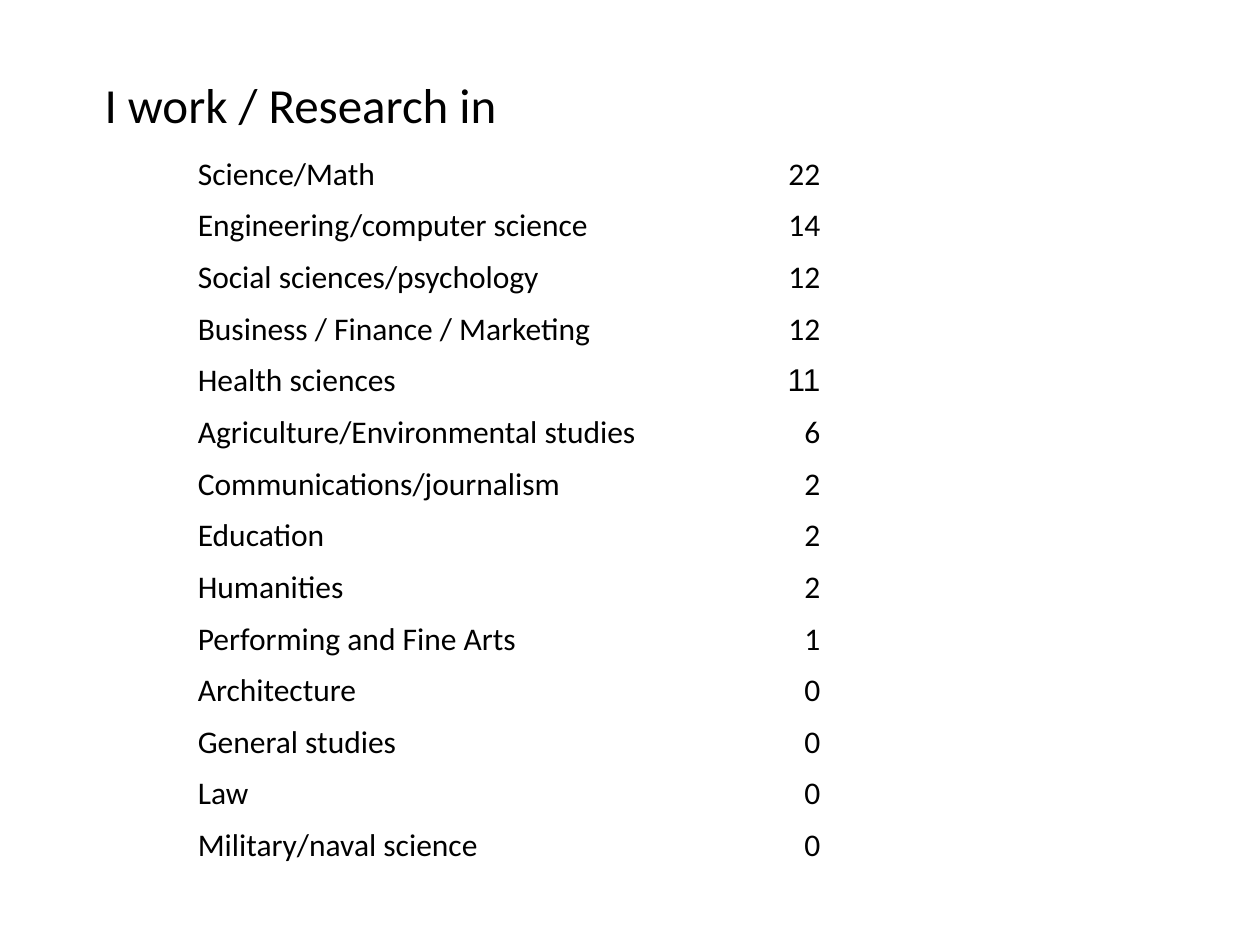
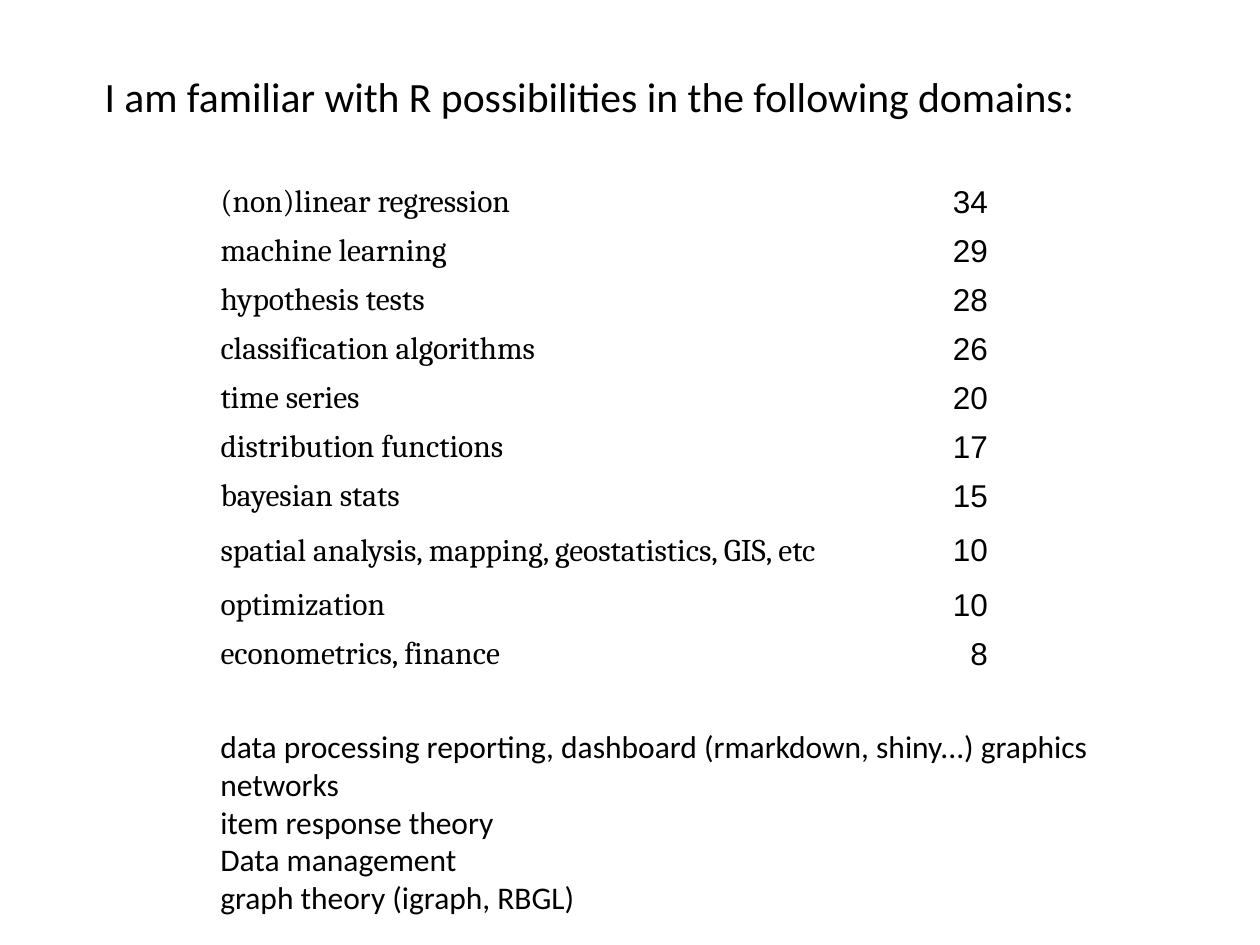
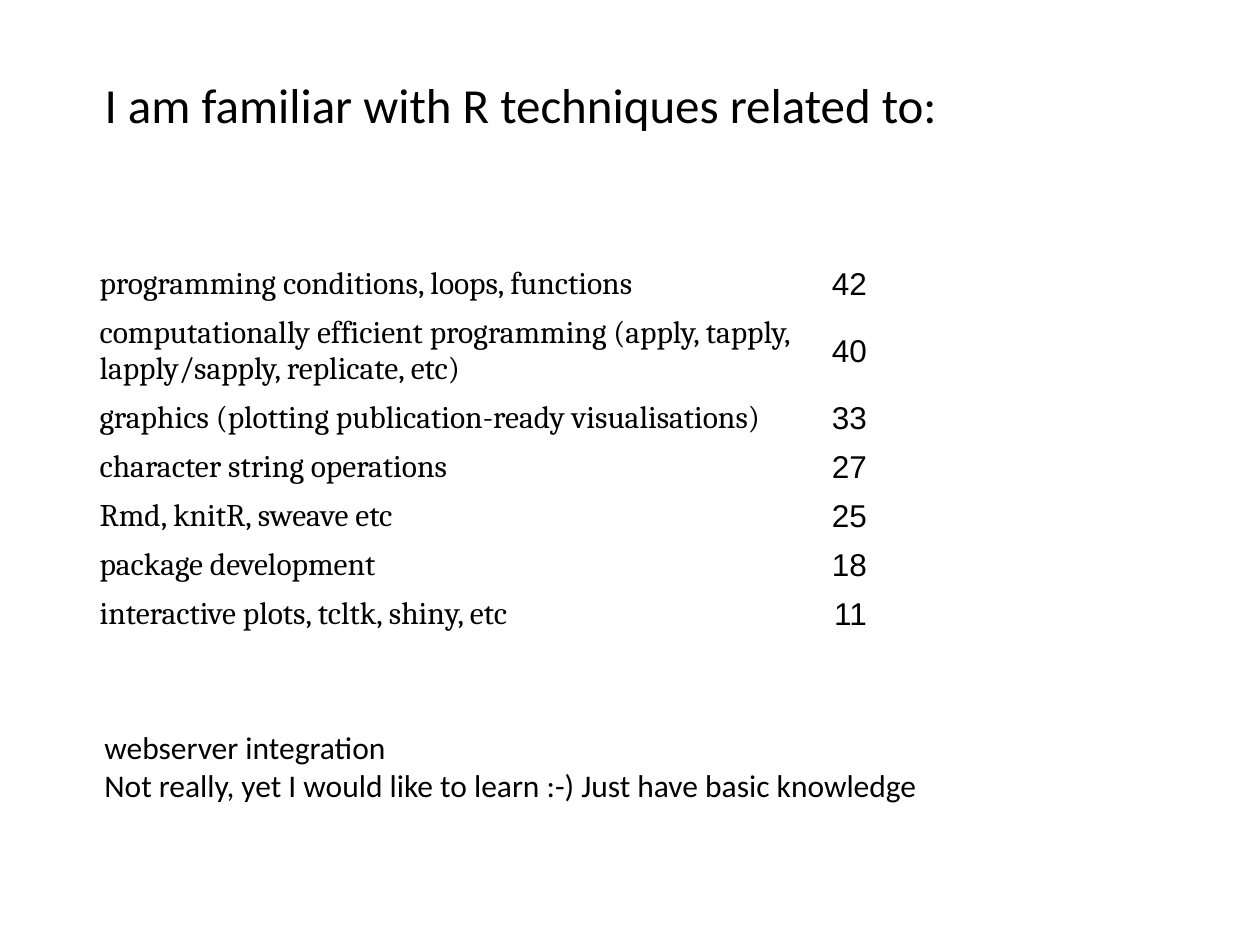
import pptx
import pptx.util
import pptx.dml.color
import pptx.enum.text

Inches = pptx.util.Inches
Pt = pptx.util.Pt
ALIGN = pptx.enum.text.PP_ALIGN
ANCHOR = pptx.enum.text.MSO_ANCHOR
AUTO_SIZE = pptx.enum.text.MSO_AUTO_SIZE

# Shared look
COLORS = {"text": "000000", "background": "FFFFFF"}
BODY_SIZE = 18
TITLE_LEFT, TITLE_TOP, TITLE_HEIGHT = 0.73, 0.59, 0.58

# Content: survey questions, answer counts and free-text answers
SLIDES = [
    {
        "title": {"text": "I work / Research in", "width": 6.29, "size": 28, "spacing": 0.9},
        "table": {
            "box": (1.47, 1.18, 5.14, 5.68), "columns": (4.38, 0.76), "row_height": 0.41,
            "fonts": ("Calibri", "Calibri"), "tall_rows": {}, "value_fonts": {4: "Arial"},
            "rows": [
                ("Science/Math", 22),
                ("Engineering/computer science", 14),
                ("Social sciences/psychology", 12),
                ("Business / Finance / Marketing", 12),
                ("Health sciences", 11),
                ("Agriculture/Environmental studies", 6),
                ("Communications/journalism", 2),
                ("Education", 2),
                ("Humanities", 2),
                ("Performing and Fine Arts", 1),
                ("Architecture", 0),
                ("General studies", 0),
                ("Law", 0),
                ("Military/naval science", 0),
            ],
        },
    },
    {
        "title": {"text": "I am familiar with R possibilities in the following domains:",
                  "width": 8.27, "size": 23.8, "spacing": 0.8},
        "table": {
            "box": (1.65, 1.41, 6.29, 4.08), "columns": (5.81, 0.48), "row_height": 0.26,
            "fonts": ("Cambria", "Arial"), "tall_rows": {7: 0.48}, "value_fonts": {},
            "rows": [
                ("(non)linear regression", 34),
                ("machine learning", 29),
                ("hypothesis tests", 28),
                ("classification algorithms", 26),
                ("time series", 20),
                ("distribution functions", 17),
                ("bayesian stats", 15),
                ("spatial analysis, mapping, geostatistics, GIS, etc", 10),
                ("optimization", 10),
                ("econometrics, finance", 8),
            ],
        },
        "comments": {
            "box": (1.65, 5.72, 7.76, 1.62), "wrap": True,
            "lines": [
                "data processing reporting, dashboard (rmarkdown, shiny...) graphics",
                "networks",
                "item response theory",
                "Data management",
                "graph theory (igraph, RBGL)",
            ],
        },
    },
    {
        "title": {"text": "I am familiar with R techniques related to:",
                  "width": 7.82, "size": 28, "spacing": 0.9},
        "table": {
            "box": (0.69, 2.06, 6.28, 3.1), "columns": (5.75, 0.54), "row_height": 0.26,
            "fonts": ("Cambria", "Arial"), "tall_rows": {1: 0.46}, "value_fonts": {},
            "rows": [
                ("programming conditions, loops, functions", 42),
                ("computationally efficient programming (apply, tapply, "
                 "lapply/sapply, replicate, etc)", 40),
                ("graphics (plotting publication-ready visualisations)", 33),
                ("character string operations", 27),
                ("Rmd, knitR, sweave etc", 25),
                ("package development", 18),
                ("interactive plots, tcltk, shiny, etc", 11),
            ],
        },
        "comments": {
            "box": (0.73, 5.73, 6.85, 0.71), "wrap": False,
            "lines": [
                "webserver integration",
                "Not really, yet I would like to learn :-) Just have basic knowledge",
            ],
        },
    },
]


def format_text(text_frame, font_name, size=BODY_SIZE, alignment=ALIGN.LEFT):
    for paragraph in text_frame.paragraphs:
        paragraph.alignment = alignment
        for run in paragraph.runs:
            run.font.name = font_name
            run.font.size = Pt(size)
            run.font.color.rgb = pptx.dml.color.RGBColor.from_string(COLORS["text"])


def add_title(slide, title):
    shape = slide.shapes.title
    shape.left, shape.top = Inches(TITLE_LEFT), Inches(TITLE_TOP)
    shape.width, shape.height = Inches(title["width"]), Inches(TITLE_HEIGHT)
    text_frame = shape.text_frame
    text_frame.text = title["text"]
    text_frame.word_wrap = True
    text_frame.auto_size = AUTO_SIZE.NONE
    text_frame.vertical_anchor = ANCHOR.TOP
    paragraph = text_frame.paragraphs[0]
    paragraph.line_spacing = title["spacing"]
    paragraph.space_before = Pt(10)
    format_text(text_frame, "Calibri", title["size"])


def add_counts(slide, counts):
    rows = counts["rows"]
    frame = slide.shapes.add_table(len(rows), 2, *map(Inches, counts["box"]))
    table = frame.table
    table.first_row = table.horz_banding = False
    for column, width in zip(table.columns, counts["columns"]):
        column.width = Inches(width)
    for index, (answer, count) in enumerate(rows):
        # Row heights are minimums: rows grow to fit their text
        height = counts["tall_rows"].get(index, counts["row_height"])
        table.rows[index].height = Inches(height)
        answer_font, count_font = counts["fonts"]
        count_font = counts["value_fonts"].get(index, count_font)
        cells = [(answer, answer_font, ALIGN.LEFT), (str(count), count_font, ALIGN.RIGHT)]
        for position, (text, font_name, alignment) in enumerate(cells):
            cell = table.cell(index, position)
            cell.fill.background()
            cell.vertical_anchor = ANCHOR.MIDDLE
            cell.text_frame.text = text
            format_text(cell.text_frame, font_name, alignment=alignment)
    frame.height = Inches(counts["box"][3])


def add_comments(slide, comments):
    shape = slide.shapes.add_textbox(*map(Inches, comments["box"]))
    text_frame = shape.text_frame
    text_frame.text = "\n".join(comments["lines"])
    text_frame.word_wrap = comments["wrap"]
    text_frame.auto_size = AUTO_SIZE.SHAPE_TO_FIT_TEXT
    format_text(text_frame, "Calibri")


# Build the slides
presentation = pptx.Presentation()
presentation.slide_width, presentation.slide_height = Inches(10), Inches(7.5)
background = presentation.slide_master.background.fill
background.solid()
background.fore_color.rgb = pptx.dml.color.RGBColor.from_string(COLORS["background"])

for content in SLIDES:
    slide = presentation.slides.add_slide(presentation.slide_layouts[5])
    add_title(slide, content["title"])
    add_counts(slide, content["table"])
    if "comments" in content:
        add_comments(slide, content["comments"])

presentation.save("out.pptx")
